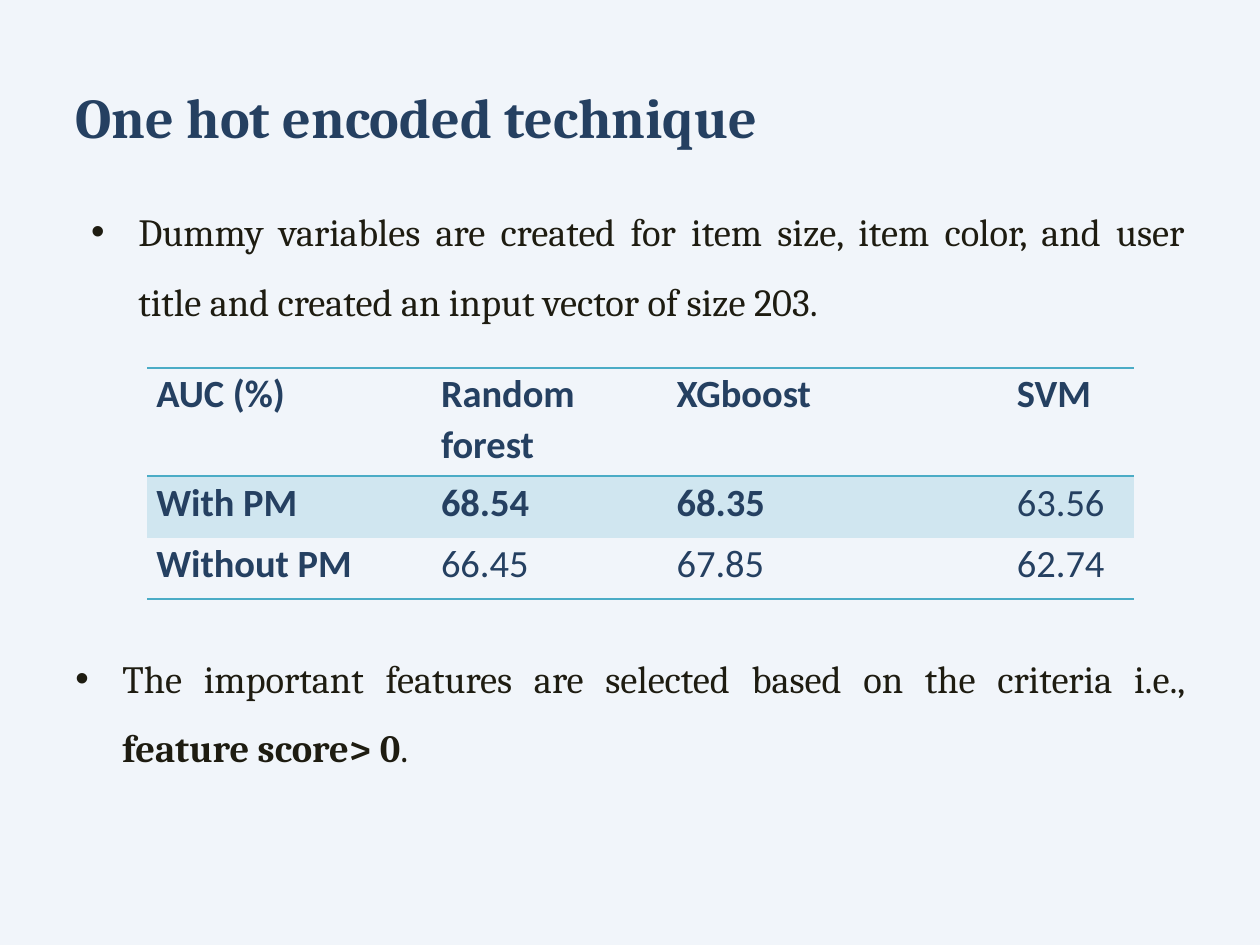
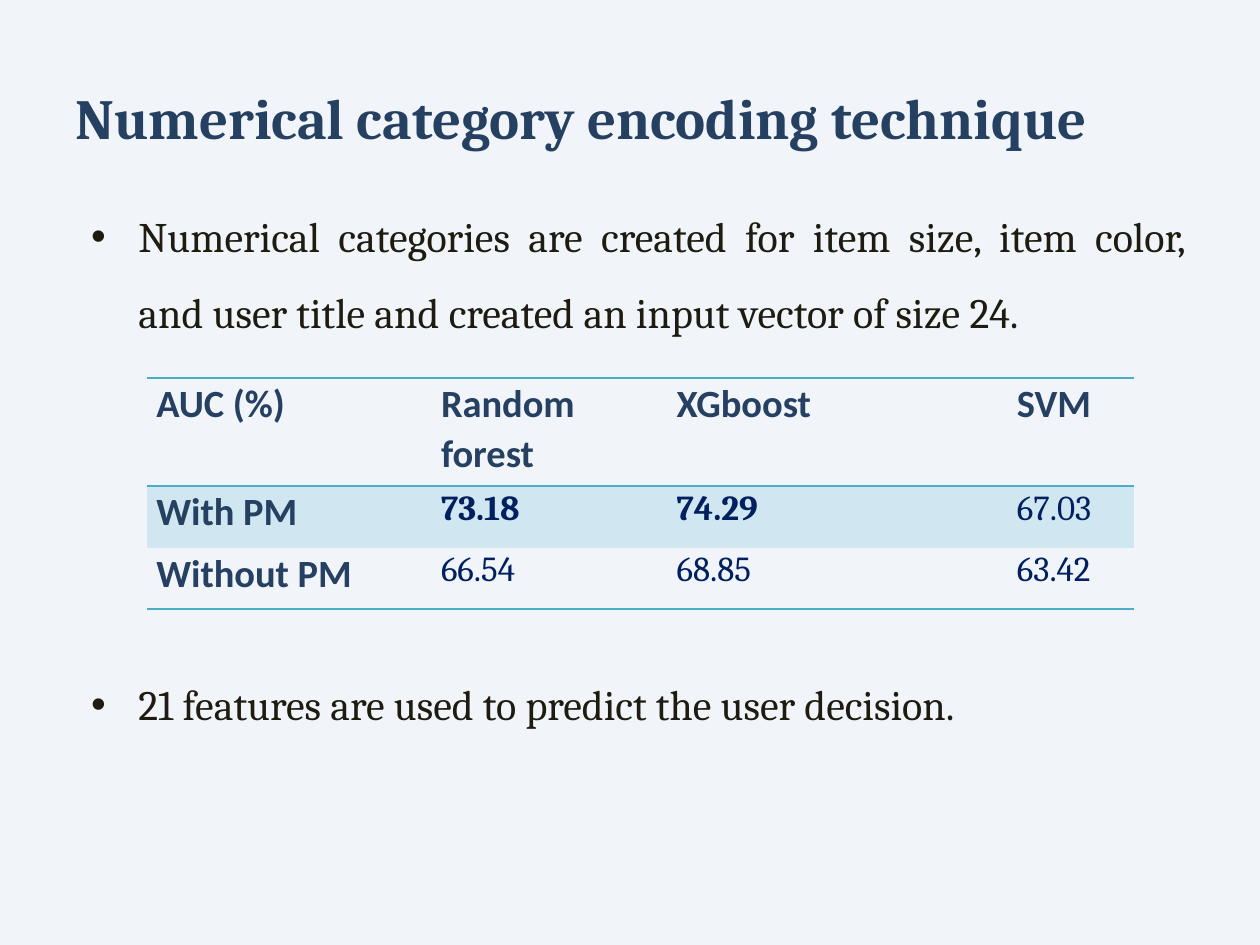
from lxml import etree
from pptx import Presentation
from pptx.dml.color import RGBColor
from pptx.enum.text import MSO_ANCHOR, PP_ALIGN
from pptx.oxml.ns import qn
from pptx.util import Cm, Pt

JUSTIFY = PP_ALIGN.JUSTIFY
MIDDLE = MSO_ANCHOR.MIDDLE

BACKGROUND, BAND = "F1F5FA", "D0E6F0"
NAVY, DEEP_BLUE, INK, RULE = "254061", "002060", "1E1C11", "4BACC6"
SERIF, SANS = "Cambria", "Calibri"

MARGIN, CONTENT_WIDTH = Cm(1.27), Cm(22.86)
HANGING = Cm(0.95)
MODEL_HEADINGS = ["AUC (%)", "Random forest", "XGboost", "SVM"]
COLUMN_WIDTHS = [5.74, 4.75, 6.86, 2.54]
ROW_HEIGHTS = [2.18, 1.24, 1.24]
BEST_SCORES = {(1, 1), (1, 2)}


def rgb(hex_color):
    """Turn a hex string into a colour."""
    return RGBColor.from_string(hex_color)


def style_font(font, name, size, color, bold=False):
    """Set typeface, size, colour and weight."""
    font.name, font.size, font.bold = name, Pt(size), bold
    font.color.rgb = rgb(color)


def add_frame(slide, top, height):
    """Add a wrapping text frame across the content width."""
    frame = slide.shapes.add_textbox(MARGIN, top, CONTENT_WIDTH, height).text_frame
    frame.word_wrap = True
    return frame


def add_title(slide, text, size):
    """Add the slide title."""
    frame = add_frame(slide, Cm(0.76), Cm(3.18))
    frame.vertical_anchor = MIDDLE
    title = frame.paragraphs[0]
    title.text = text
    style_font(title.font, SERIF, size, NAVY, bold=True)


def format_bullet(paragraph, left, size):
    """Make a justified paragraph with a hanging bullet."""
    paragraph.alignment = JUSTIFY
    paragraph.line_spacing = 1.5
    properties = paragraph._p.get_or_add_pPr()
    properties.set("marL", str(left))
    properties.set("indent", str(-HANGING))
    etree.SubElement(properties, qn("a:buFont")).set("typeface", "Arial")
    etree.SubElement(properties, qn("a:buChar")).set("char", "•")
    style_font(paragraph.font, SERIF, size, INK)


def add_points(slide, intro, conclusion, size, table_gap, conclusion_left):
    """Add the points above and below the table; conclusion is (text, bold) pairs."""
    frame = add_frame(slide, Cm(3.61), Cm(14.4))
    opening = frame.paragraphs[0]
    opening.text = intro
    format_bullet(opening, Cm(1.27), size)

    closing = frame.add_paragraph()
    closing.space_before = Pt(table_gap)
    format_bullet(closing, conclusion_left, size)
    for text, bold in conclusion:
        run = closing.add_run()
        run.text = text
        run.font.bold = bold


def set_borders(cell, ruled_sides):
    """Rule the named sides of a cell and clear the others."""
    properties = cell._tc.get_or_add_tcPr()
    for side in "LRTB":
        line = etree.SubElement(properties, qn(f"a:ln{side}"))
        if side in ruled_sides:
            line.set("w", str(Pt(1)))
            fill = etree.SubElement(line, qn("a:solidFill"))
            etree.SubElement(fill, qn("a:srgbClr")).set("val", RULE)
        else:
            etree.SubElement(line, qn("a:noFill"))


def fill_cell(cell, text, font_style, bold):
    """Write a cell's text with the table's margins and spacing."""
    cell.margin_left = cell.margin_right = Cm(0.18)
    cell.margin_top = cell.margin_bottom = 0
    paragraph = cell.text_frame.paragraphs[0]
    paragraph.text = text
    paragraph.line_spacing = 1.07
    style_font(paragraph.font, *font_style, bold=bold)


def add_score_table(slide, top, with_pm, without_pm, score_style):
    """Add the AUC table, with a tinted row for the scores with PM."""
    rows = [MODEL_HEADINGS, ["With PM", *with_pm], ["Without PM", *without_pm]]
    table = slide.shapes.add_table(
        len(rows), len(MODEL_HEADINGS), Cm(2.97), top,
        Cm(sum(COLUMN_WIDTHS)), Cm(sum(ROW_HEIGHTS))).table
    table.first_row = table.horz_banding = False
    for column, width in zip(table.columns, COLUMN_WIDTHS):
        column.width = Cm(width)
    for row, height in zip(table.rows, ROW_HEIGHTS):
        row.height = Cm(height)

    ruled_sides = ["TB", "T", "B"]
    for r, texts in enumerate(rows):
        for c, text in enumerate(texts):
            cell = table.cell(r, c)
            is_label = r == 0 or c == 0
            font_style = (SANS, 22, NAVY) if is_label else score_style
            fill_cell(cell, text, font_style, is_label or (r, c) in BEST_SCORES)
            set_borders(cell, ruled_sides[r])
            if r == 1:
                cell.fill.solid()
                cell.fill.fore_color.rgb = rgb(BAND)
            else:
                cell.fill.background()


def add_one_hot_slide(slide):
    """Fill the slide on one hot encoding."""
    add_title(slide, "One hot encoded technique", 32)
    add_points(
        slide,
        "Dummy variables are created for item size, item color, and user title "
        "and created an input vector of size 203.",
        [("The important features are selected based on the criteria i.e., ", False),
         ("feature score> 0", True), (".", False)],
        size=22, table_gap=176, conclusion_left=HANGING)
    add_score_table(slide, Cm(7.42), ["68.54", "68.35", "63.56"],
                    ["66.45", "67.85", "62.74"], (SANS, 22, NAVY))


def add_numerical_slide(slide):
    """Fill the slide on numerical category encoding."""
    add_title(slide, "Numerical category encoding technique", 32.4)
    add_points(
        slide,
        "Numerical categories are created for item size, item color, and user "
        "title and created an input vector of size 24.",
        [("21 features are used to predict the user decision.", False)],
        size=24, table_gap=181, conclusion_left=Cm(1.27))
    add_score_table(slide, Cm(7.62), ["73.18", "74.29", "67.03"],
                    ["66.54", "68.85", "63.42"], (SERIF, 20, DEEP_BLUE))


def main():
    """Build and save the presentation."""
    presentation = Presentation()
    presentation.slide_width, presentation.slide_height = Cm(25.4), Cm(19.05)
    backdrop = presentation.slide_master.background.fill
    backdrop.solid()
    backdrop.fore_color.rgb = rgb(BACKGROUND)
    blank = presentation.slide_layouts[6]
    for build in (add_one_hot_slide, add_numerical_slide):
        build(presentation.slides.add_slide(blank))
    presentation.save("out.pptx")


main()
